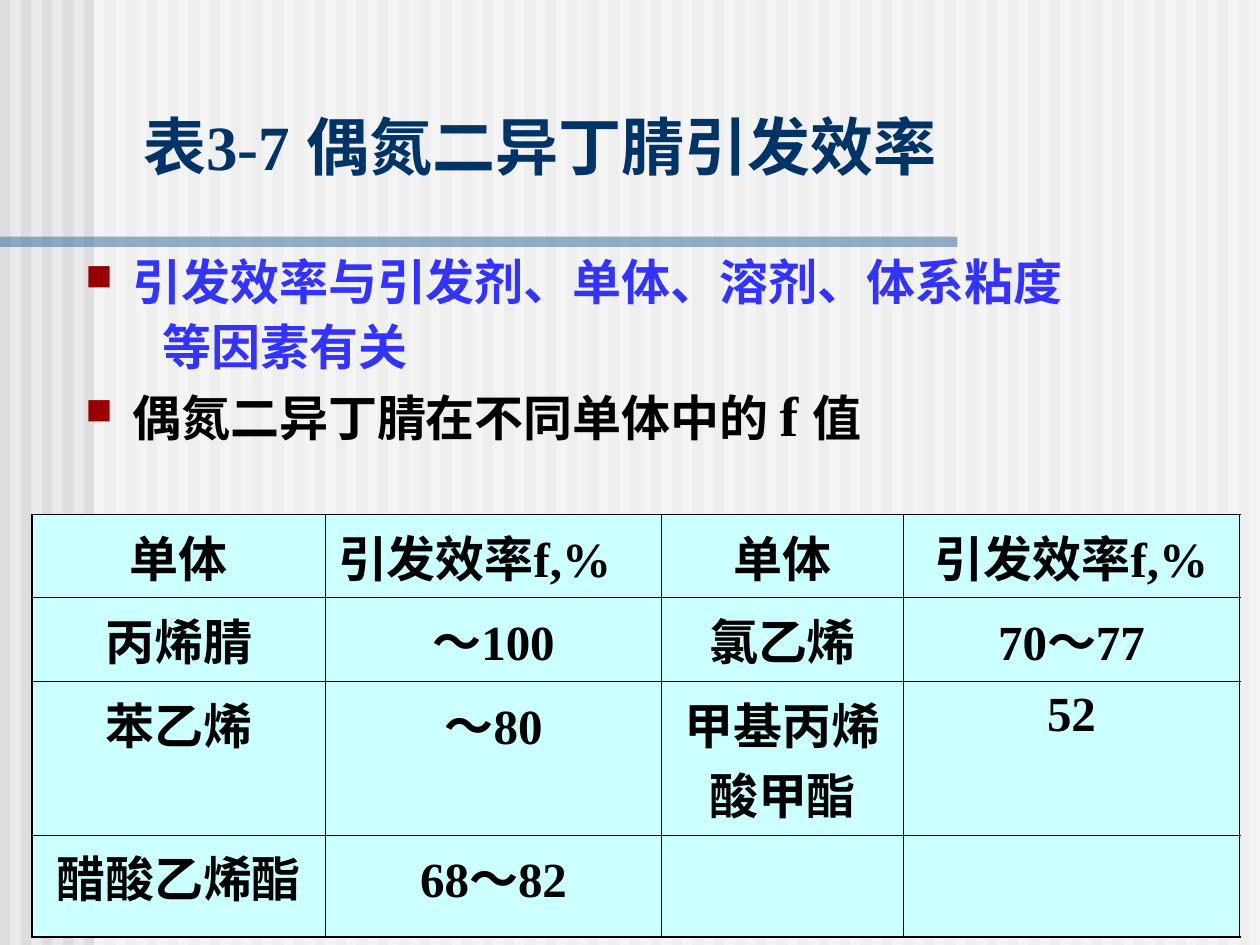
from lxml import etree
from pptx import Presentation
from pptx.dml.color import RGBColor
from pptx.enum.shapes import MSO_SHAPE
from pptx.enum.text import MSO_ANCHOR, PP_ALIGN
from pptx.oxml.ns import qn
from pptx.util import Cm, Pt

RECT = MSO_SHAPE.RECTANGLE
LOW = MSO_ANCHOR.BOTTOM
LEFT, MID, JUST = PP_ALIGN.LEFT, PP_ALIGN.CENTER, PP_ALIGN.JUSTIFY
SANS, SERIF = "DejaVu Sans", "Times New Roman"
BLACK, BLUE, NAVY = "000000", "3333FF", "003366"
WIDE, HIGH = 25.4, 19.05
BARS = 60

TITLE = "表3-7 偶氮二异丁腈引发效率"
BODY = [
    (True, [("引发效率与引发剂、单体、溶剂、体系粘度", SANS, 28, BLUE)]),
    (False, [("等因素有关", SANS, 28, BLUE)]),
    (True, [
        ("偶氮二异丁腈", SERIF, 28, BLACK),
        ("在不同单体中的 ", SANS, 28, BLACK),
        ("f ", SERIF, 32, BLACK),
        ("值", SANS, 28, BLACK),
    ]),
]
ROWS = [
    ("单体", "引发效率f,%", "单体", "引发效率f,%"),
    ("丙烯腈", "～100", "氯乙烯", "70～77"),
    ("苯乙烯", "～80", "甲基丙烯酸甲酯", "52"),
    ("醋酸乙烯酯", "68～82", "", ""),
]
COLS = [5.92, 6.78, 4.87, 6.78]
TALL = [1.68, 1.68, 3.1, 2.06]


def tint(fill, color):
    """Make a fill solid in a hex colour."""
    fill.solid()
    fill.fore_color.rgb = RGBColor.from_string(color)


def child(node, tag, **attrs):
    """Add a drawing element with attributes."""
    return etree.SubElement(node, qn(tag), attrs)


def bar(slide, left, top, width, height, color, alpha=None):
    """Draw a plain filled rectangle."""
    shape = slide.shapes.add_shape(RECT, Cm(left), Cm(top), Cm(width), Cm(height))
    shape.shadow.inherit = False
    shape.line.fill.background()
    tint(shape.fill, color)
    if alpha:
        paint = shape.fill._xPr.find(qn("a:solidFill"))[0]
        child(paint, "a:alpha", val=str(alpha * 1000))


def write(para, text, face, size, color):
    """Add one bold run."""
    run = para.add_run()
    run.text = text
    font = run.font
    font.name, font.size, font.bold = face, Pt(size), True
    font.color.rgb = RGBColor.from_string(color)


def indent(para, marked):
    """Set a hanging square bullet or a plain deeper margin."""
    props = para._p.get_or_add_pPr()
    props.set("marL", str(Cm(0.95 if marked else 1.56)))
    props.set("indent", str(Cm(-0.95 if marked else 0)))
    if marked:
        hue = child(props, "a:buClr")
        child(hue, "a:srgbClr", val="9A0000")
        child(props, "a:buSzPct", val="75000")
        child(props, "a:buChar", char="■")
    else:
        child(props, "a:buNone")


def edge(cell, row, col):
    """Rule a cell, heavier along the table's outside."""
    props = cell._tc.get_or_add_tcPr()
    outer = {
        "L": col == 0,
        "R": col == len(COLS) - 1,
        "T": row == 0,
        "B": row == len(ROWS) - 1,
    }
    for spot, (side, thick) in enumerate(outer.items()):
        line = child(props, "a:ln" + side, w=str(Pt(1.08 if thick else 0.45)))
        paint = child(line, "a:solidFill")
        child(paint, "a:srgbClr", val=BLACK)
        props.insert(spot, line)


def back(slide):
    """Draw the striped backdrop and the rule under the title."""
    tint(slide.background.fill, "EAEAEA")
    step = WIDE / BARS
    for i in range(BARS):
        bar(slide, i * step, 0, step / 2, HIGH, "DDDDDD")
    bar(slide, 1.9, 0, WIDE - 1.9, HIGH, "FFFFFF", 50)
    bar(slide, 0, 4.77, 19.3, 0.21, "336699", 50)


def head(slide):
    """Place the title above the backdrop."""
    title = slide.shapes.title
    slide.shapes._spTree.append(title._element)
    title.left, title.top, title.width, title.height = Cm(2.34), Cm(1.68), Cm(20.22), Cm(2.13)
    frame = title.text_frame
    frame.vertical_anchor = LOW
    frame.margin_left = Cm(0.55)
    para = frame.paragraphs[0]
    para.alignment = LEFT
    write(para, TITLE, SERIF, 36, NAVY)


def points(slide):
    """Write the bulleted text."""
    frame = slide.shapes.add_textbox(Cm(1.47), Cm(5.08), Cm(22.53), Cm(4.45)).text_frame
    frame.word_wrap = True
    for i, (marked, runs) in enumerate(BODY):
        para = frame.add_paragraph() if i else frame.paragraphs[0]
        indent(para, marked)
        para.line_spacing = 0.9
        if i:
            para.space_before = Pt(7)
        for run in runs:
            write(para, *run)


def grid(slide):
    """Build the table of efficiencies."""
    table = slide.shapes.add_table(
        len(ROWS), len(COLS), Cm(0.64), Cm(10.37), Cm(sum(COLS)), Cm(sum(TALL))
    ).table
    for col, width in zip(table.columns, COLS):
        col.width = Cm(width)
    for r, texts in enumerate(ROWS):
        table.rows[r].height = Cm(TALL[r])
        for c, text in enumerate(texts):
            cell = table.cell(r, c)
            tint(cell.fill, "CCFFFF")
            edge(cell, r, c)
            para = cell.text_frame.paragraphs[0]
            para.alignment = JUST if (r, c) == (0, 1) else MID
            if text:
                write(para, text, SERIF, 28, BLACK)


def main():
    """Build and save the slide."""
    deck = Presentation()
    deck.slide_width, deck.slide_height = Cm(WIDE), Cm(HIGH)
    slide = deck.slides.add_slide(deck.slide_layouts[5])
    back(slide)
    head(slide)
    points(slide)
    grid(slide)
    deck.save("out.pptx")


if __name__ == "__main__":
    main()
